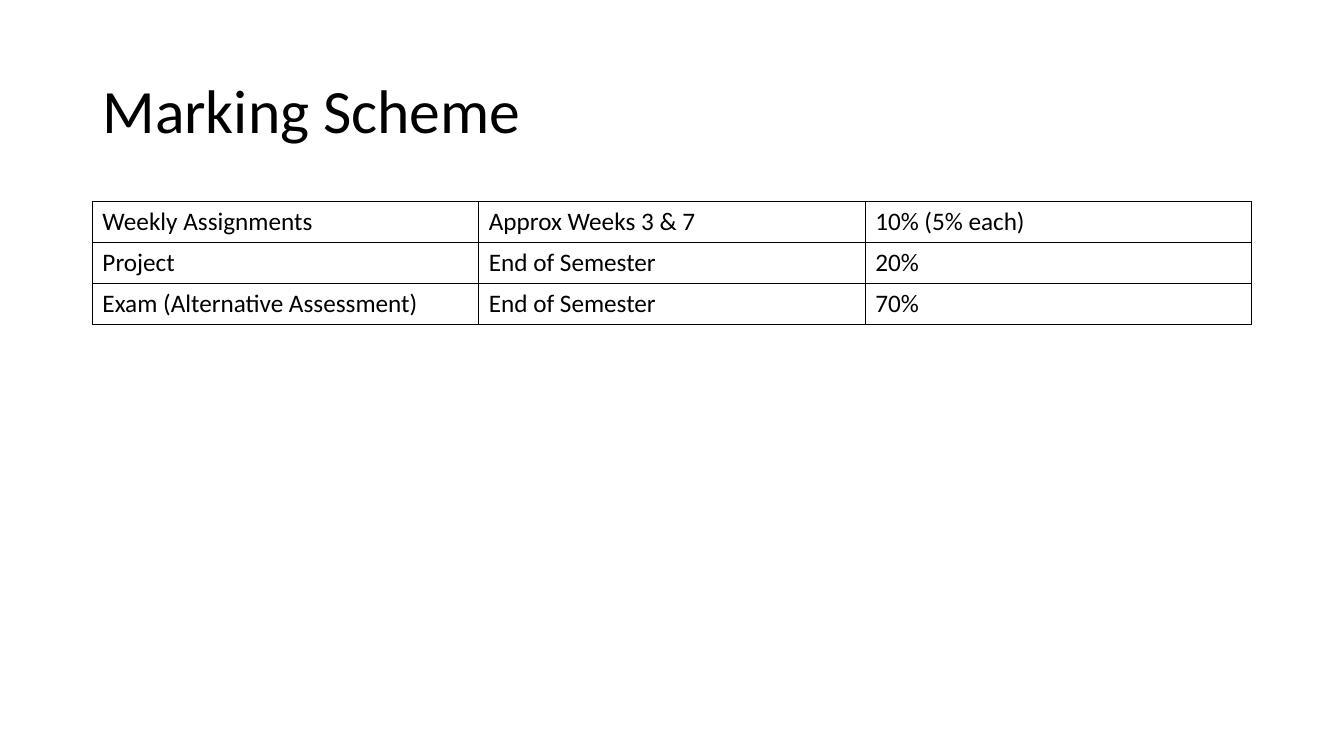
from lxml import etree
from pptx import Presentation, util as u
from pptx.dml import color
from pptx.enum import text
from pptx.oxml import ns

COLORS = {"ink": "000000", "paper": "FFFFFF"}
FONT = "Calibri"
COLUMNS, ROWS = 160, 90
MARKS = [
    ("Weekly Assignments", "Approx Weeks 3 & 7 ", "10% (5% each)"),
    ("Project", "End of Semester", "20%"),
    ("Exam (Alternative Assessment)", "End of Semester", "70%"),
]


def grid_box(deck, left, top, width, height):
    """Turn grid columns and rows into slide lengths."""
    column, row = deck.slide_width / COLUMNS, deck.slide_height / ROWS
    return [u.Emu(round(size)) for size in
            (left * column, top * row, width * column, height * row)]


def write(para, words, size):
    """Fill a paragraph with words in the slide's font."""
    para.text = words
    para.font.name = FONT
    para.font.size = u.Pt(size)
    para.font.color.rgb = color.RGBColor.from_string(COLORS["ink"])


def add_borders(cell):
    """Draw a one-point line on each side of a cell."""
    properties = cell._tc.get_or_add_tcPr()
    for side in ("lnL", "lnR", "lnT", "lnB"):
        line = etree.SubElement(properties, ns.qn(f"a:{side}"), w=str(u.Pt(1)))
        fill = etree.SubElement(line, ns.qn("a:solidFill"))
        etree.SubElement(fill, ns.qn("a:srgbClr"), val=COLORS["ink"])


def add_title(page, box, words):
    """Place the heading, centred vertically in its box."""
    frame = page.shapes.add_textbox(*box).text_frame
    frame.word_wrap = True
    frame.vertical_anchor = text.MSO_ANCHOR.MIDDLE
    para = frame.paragraphs[0]
    para.line_spacing = 0.9
    write(para, words, 44)


def add_marks(page, box, marks):
    """Place the plain ruled table of marks with equal columns and rows."""
    table = page.shapes.add_table(len(marks), len(marks[0]), *box).table
    table.first_row = table.horz_banding = False
    for row, entries in enumerate(marks):
        for column, words in enumerate(entries):
            cell = table.cell(row, column)
            add_borders(cell)
            cell.fill.background()
            write(cell.text_frame.paragraphs[0], words, 18)


def build_marking_page(deck):
    """Build the marking scheme slide."""
    page = deck.slides.add_slide(deck.slide_layouts[6])
    page.background.fill.solid()
    page.background.fill.fore_color.rgb = color.RGBColor.from_string(COLORS["paper"])
    add_title(page, grid_box(deck, 11, 4.8, 138, 17.4), "Marking Scheme")
    add_marks(page, grid_box(deck, 11, 24, 138, 14.6), MARKS)


deck = Presentation()
deck.slide_width, deck.slide_height = u.Inches(13.33), u.Inches(7.5)
build_marking_page(deck)
deck.save("out.pptx")
